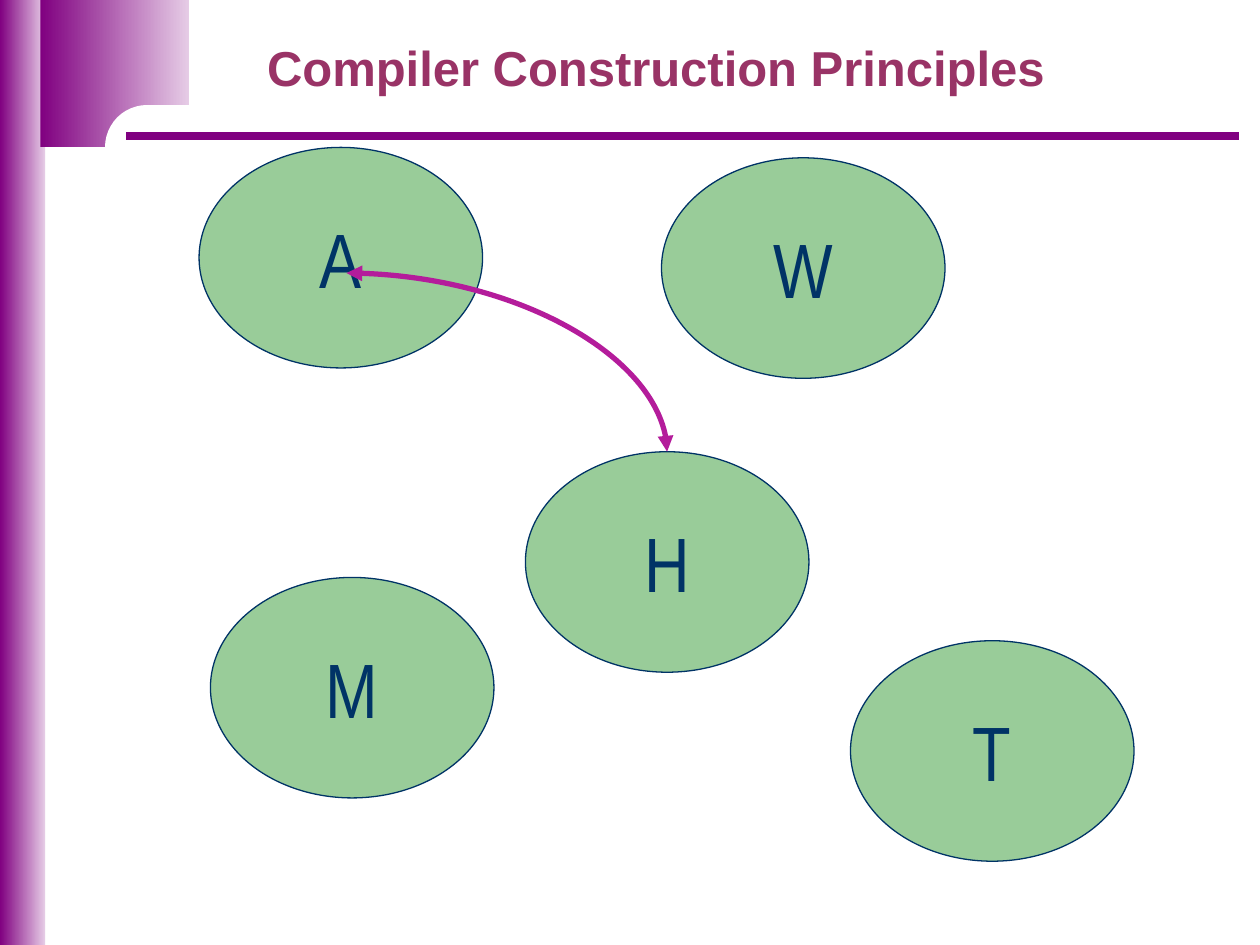
from lxml import etree
from pptx import Presentation
from pptx import util as u
from pptx.dml.color import RGBColor
from pptx.enum import shapes, text
from pptx.oxml import ns

PURPLE = RGBColor(0x80, 0x00, 0x80)
LILAC = RGBColor(0xE6, 0xCC, 0xE6)
WHITE = RGBColor(0xFF, 0xFF, 0xFF)
PLUM = RGBColor(0x99, 0x33, 0x66)
GREEN = RGBColor(0x99, 0xCC, 0x99)
NAVY = RGBColor(0x00, 0x33, 0x66)
MAGENTA = RGBColor(0xB4, 0x1C, 0x9B)

WIDTH, HEIGHT = 10, 7.5
NODE_W, NODE_H = 0.225, 7 / 30  # shares of the slide
# Left and top of each node as shares of the slide
NODES = {
    "A": (0.158, 0.156),
    "M": (0.167, 0.611),
    "W": (0.525, 0.167),
    "H": (0.417, 0.478),
    "T": (0.675, 0.678),
}


def inches(*values):
    return [u.Inches(v) for v in values]


def add_shape(s, kind, box, color=None):
    """Add a borderless shape: plain in the given colour, else purple fading to lilac."""
    sp = s.shapes.add_shape(kind, *inches(*box))
    sp.shadow.inherit = False
    sp.line.fill.background()
    if color is not None:
        sp.fill.solid()
        sp.fill.fore_color.rgb = color
    else:
        sp.fill.gradient()
        sp.fill.gradient_angle = 0
        for stop, shade in zip(sp.fill.gradient_stops, (PURPLE, LILAC)):
            stop.color.rgb = shade
    return sp


def add_line(s, kind, start, end, color, width):
    c = s.shapes.add_connector(kind, *inches(*start, *end))
    c.line.color.rgb = color
    c.line.width = u.Pt(width)
    etree.SubElement(c._element.spPr, ns.qn("a:effectLst"))
    return c


def set_text(sp, words, font, size, color, bold=False):
    tf = sp.text_frame
    tf.text = words
    p = tf.paragraphs[0]
    p.alignment = text.PP_ALIGN.CENTER
    r = p.runs[0]
    r.font.name, r.font.size, r.font.bold = font, u.Pt(size), bold
    r.font.color.rgb = color


def draw_frame(s, x, y, w, h):
    """Side band, corner block with its rounded cut, and the header rule."""
    kinds = shapes.MSO_SHAPE
    add_shape(s, kinds.RECTANGLE, (x, y, 0.036 * w, h))
    add_shape(s, kinds.RECTANGLE, (x + 0.032 * w, y, 0.118 * w, 0.156 * h))
    cut = add_shape(s, kinds.ROUNDED_RECTANGLE,
                    (x + w / 12, y + h / 9, 0.558 * w, 0.089 * h), WHITE)
    cut.adjustments[0] = 0.5
    rule_y = y + 0.144 * h
    add_line(s, shapes.MSO_CONNECTOR.STRAIGHT, (x + 0.1 * w, rule_y),
             (x + 0.983 * w, rule_y), PURPLE, 4.5)


def draw_title(s, x, y, w, h):
    sp = s.shapes.add_textbox(*inches(x, y, w, h))
    sp.text_frame.word_wrap = True
    set_text(sp, "Compiler Construction Principles", "Arial", 28, PLUM, True)


def draw_nodes(s, x, y, w, h):
    """Lettered ellipses and the curve from the middle of A to the top of H."""
    node_w, node_h = NODE_W * w, NODE_H * h
    corners = {}
    for letter, (col, row) in NODES.items():
        left, top = corners[letter] = x + col * w, y + row * h
        sp = add_shape(s, shapes.MSO_SHAPE.OVAL, (left, top, node_w, node_h), GREEN)
        sp.line.color.rgb = NAVY
        sp.line.width = u.Pt(0.75)
        sp.text_frame.word_wrap = False
        sp.text_frame.vertical_anchor = text.MSO_ANCHOR.MIDDLE
        set_text(sp, letter, "Arial Narrow", 44, NAVY)

    (a_left, a_top), (h_left, h_top) = corners["A"], corners["H"]
    start = a_left + 0.52 * node_w, a_top + 0.57 * node_h
    end = h_left + node_w / 2, h_top
    c = add_line(s, shapes.MSO_CONNECTOR.CURVE, start, end, MAGENTA, 3)
    # Single-bend curve with an arrowhead at both ends
    c._element.spPr.find(ns.qn("a:prstGeom")).set("prst", "curvedConnector2")
    ln = c.line._get_or_add_ln()
    for tag in ("a:headEnd", "a:tailEnd"):
        etree.SubElement(ln, ns.qn(tag), type="triangle")


def main():
    prs = Presentation()
    prs.slide_width, prs.slide_height = inches(WIDTH, HEIGHT)
    s = prs.slides.add_slide(prs.slide_layouts[6])
    draw_frame(s, 0, 0, WIDTH, HEIGHT)
    draw_title(s, 1.91, 0.25, 6.59, 0.57)
    draw_nodes(s, 0, 0, WIDTH, HEIGHT)
    prs.save("out.pptx")


if __name__ == "__main__":
    main()
